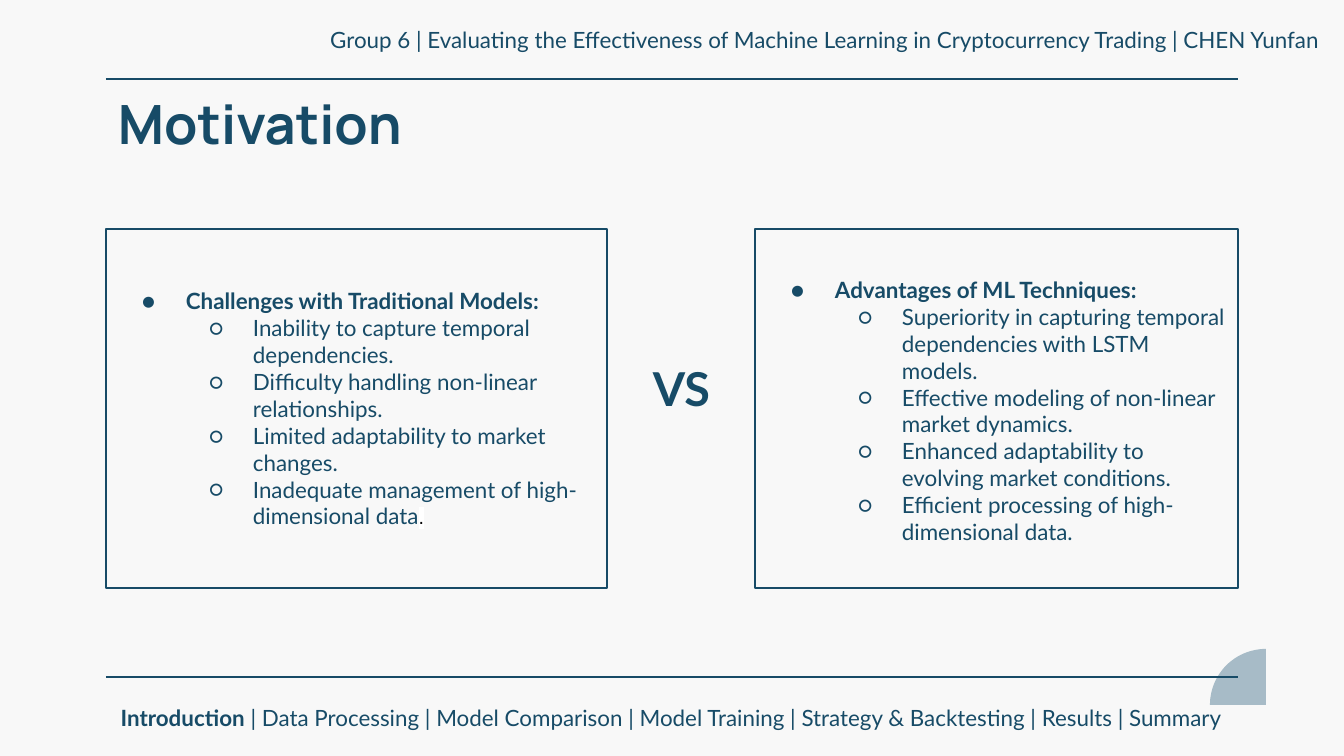
from math import cos, pi, sin

from lxml.etree import SubElement
from pptx import Presentation
from pptx.dml.color import RGBColor
from pptx.enum.shapes import MSO_CONNECTOR, MSO_SHAPE
from pptx.enum.text import MSO_ANCHOR, MSO_AUTO_SIZE, PP_ALIGN
from pptx.oxml.ns import qn
from pptx.util import Pt

PX = 914400 / 134.4
NAVY, PALE, PAPER = "174B67", "A7BBC7", "F8F8F8"
BODY = {"name": "Lato", "size": Pt(12), "bold": False}
STRONG = {**BODY, "bold": True}
VERSUS = {**STRONG, "size": Pt(25)}
TITLE = {"name": "Manrope", "size": Pt(29), "bold": True}
FULL_STOP = {"name": "Arial", "size": Pt(10.5), "bold": False}

LABELS = [
    ((278, 13, 1055, 54), PP_ALIGN.RIGHT, [
        ("Group 6 | Evaluating the Effectiveness of Machine Learning in "
         "Cryptocurrency Trading | CHEN Yunfan", BODY)]),
    ((86, 691, 1171, 54), PP_ALIGN.CENTER, [
        ("Introduction", STRONG),
        (" | Data Processing | Model Comparison | Model Training | "
         "Strategy & Backtesting | Results | Summary", BODY)]),
    ((640, 347, 441, 83), PP_ALIGN.LEFT, [("VS", VERSUS)]),
    ((105, 77, 679, 93), PP_ALIGN.LEFT, [("Motivation", TITLE)]),
]
PANELS = [
    {"left": 106, "width": 501, "heading": "Challenges with Traditional Models:",
     "heading_spacing": 1.0, "full_stop": ".",
     "points": ["Inability to capture temporal dependencies.",
                "Difficulty handling non-linear relationships.",
                "Limited adaptability to market changes.",
                "Inadequate management of high-dimensional data"]},
    {"left": 755, "width": 483, "heading": "Advantages of ML Techniques:",
     "heading_spacing": 1.15, "full_stop": "",
     "points": ["Superiority in capturing temporal dependencies with LSTM models.",
                "Effective modeling of non-linear market dynamics.",
                "Enhanced adaptability to evolving market conditions.",
                "Efficient processing of high-dimensional data."]},
]
PANEL_TOP, PANEL_HEIGHT = 229, 359
RULE_LEFT, RULE_RIGHT, RULE_TOPS = 106, 1238, (79, 677)
QUARTER_RIGHT, QUARTER_BOTTOM, QUARTER_RADIUS, QUARTER_STEPS = 1266, 705, 56, 30
BULLETS, INDENT, HANGING = "●○", 67, 44


def px(length):
    return round(length * PX)


def color(code):
    return RGBColor.from_string(code)


def apply(target, values):
    for name, value in values.items():
        setattr(target, name, value)


def add_run(paragraph, text, style, code=NAVY):
    run = paragraph.add_run()
    run.text = text
    apply(run.font, style)
    run.font.color.rgb = color(code)
    return run


def set_frame(frame, side, end, anchor):
    apply(frame, {"word_wrap": True, "vertical_anchor": anchor,
                  "margin_left": px(side), "margin_right": px(side),
                  "margin_top": px(end), "margin_bottom": px(end)})


def add_bullet(paragraph, level):
    paragraph.level = level
    properties = paragraph._p.get_or_add_pPr()
    properties.set("marL", str(px(INDENT * (level + 1))))
    properties.set("indent", str(px(-HANGING)))
    tint = SubElement(properties, qn("a:buClr"))
    SubElement(tint, qn("a:srgbClr"), val=NAVY)
    SubElement(properties, qn("a:buFont"), typeface="Lato")
    SubElement(properties, qn("a:buChar"), char=BULLETS[level])


def add_quarter(shapes):
    arc = [(QUARTER_RIGHT - QUARTER_RADIUS * sin(turn),
            QUARTER_BOTTOM - QUARTER_RADIUS * cos(turn))
           for turn in (pi / 2 * step / QUARTER_STEPS
                        for step in range(QUARTER_STEPS + 1))]
    outline = shapes.build_freeform(*map(px, arc[0]))
    corner = (QUARTER_RIGHT, QUARTER_BOTTOM)
    outline.add_line_segments([(px(x), px(y)) for x, y in arc[1:] + [corner]])
    quarter = outline.convert_to_shape()
    quarter.shadow.inherit = False
    quarter.fill.solid()
    quarter.fill.fore_color.rgb = color(PALE)
    quarter.line.fill.background()


def add_rule(shapes, top):
    rule = shapes.add_connector(MSO_CONNECTOR.STRAIGHT, px(RULE_LEFT), px(top),
                                px(RULE_RIGHT), px(top))
    rule.line.color.rgb = color(NAVY)
    rule.line.width = Pt(0.75)
    SubElement(rule._element.spPr, qn("a:effectLst"))


def add_label(shapes, box, alignment, parts):
    frame = shapes.add_textbox(*map(px, box)).text_frame
    set_frame(frame, 13, 13, MSO_ANCHOR.TOP)
    frame.auto_size = MSO_AUTO_SIZE.SHAPE_TO_FIT_TEXT
    paragraph = frame.paragraphs[0]
    paragraph.alignment = alignment
    for text, style in parts:
        add_run(paragraph, text, style)


def add_panel(shapes, panel):
    box = (panel["left"], PANEL_TOP, panel["width"], PANEL_HEIGHT)
    card = shapes.add_shape(MSO_SHAPE.RECTANGLE, *map(px, box))
    card.shadow.inherit = False
    card.fill.background()
    card.line.color.rgb = color(NAVY)
    card.line.width = Pt(0.75)
    frame = card.text_frame
    set_frame(frame, 13, 19, MSO_ANCHOR.MIDDLE)
    for index, text in enumerate([panel["heading"]] + panel["points"]):
        paragraph = frame.add_paragraph() if index else frame.paragraphs[0]
        add_bullet(paragraph, 1 if index else 0)
        paragraph.alignment = PP_ALIGN.LEFT
        paragraph.line_spacing = 1.0 if index else panel["heading_spacing"]
        add_run(paragraph, text, BODY if index else STRONG)
    if panel["full_stop"]:
        stop = add_run(paragraph, panel["full_stop"], FULL_STOP, "060607")
        properties = stop._r.get_or_add_rPr()
        highlight = SubElement(properties, qn("a:highlight"))
        SubElement(highlight, qn("a:srgbClr"), val="FFFFFF")
        properties.find(qn("a:solidFill")).addnext(highlight)


def main():
    """Build the motivation slide comparing traditional models with ML."""
    deck = Presentation()
    apply(deck, {"slide_width": px(1344), "slide_height": px(756)})
    slide = deck.slides.add_slide(deck.slide_layouts[6])
    slide.background.fill.solid()
    slide.background.fill.fore_color.rgb = color(PAPER)
    add_quarter(slide.shapes)
    for top in RULE_TOPS:
        add_rule(slide.shapes, top)
    for panel in PANELS:
        add_panel(slide.shapes, panel)
    for label in LABELS:
        add_label(slide.shapes, *label)
    deck.save("out.pptx")


if __name__ == "__main__":
    main()
